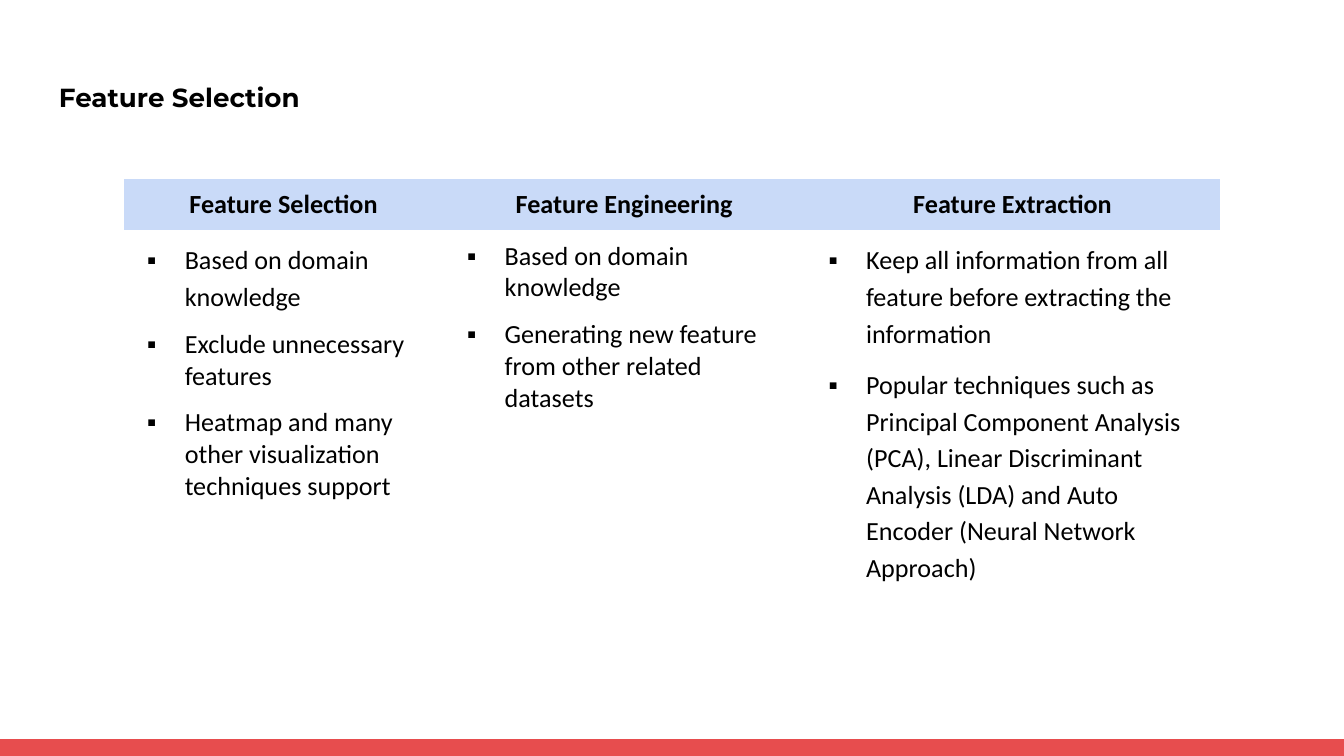
import pptx
import pptx.dml.color
import pptx.enum.shapes
import pptx.enum.text
import pptx.oxml
import pptx.oxml.ns
import pptx.util
import lxml.etree

Inches, Pt = pptx.util.Inches, pptx.util.Pt
WIDTH = 10
HEIGHT = WIDTH * 9 / 16
BAR_HEIGHT = 0.12
BLACK, RED, PALE_BLUE = "000000", "E74D4E", "C9DAF8"

TITLE = "Feature Selection"
# Heading, column width, then (bullet, line spacing) pairs
METHODS = [
    ("Feature Selection", 2.38, [
        ("Based on domain knowledge", 1.15),
        ("Exclude unnecessary features", 1),
        ("Heatmap and many other visualization techniques support", 1),
    ]),
    ("Feature Engineering", 2.69, [
        ("Based on domain knowledge", 1),
        ("Generating new feature from other related datasets", 1),
    ]),
    ("Feature Extraction", 3.09, [
        ("Keep all information from all feature before extracting the information", 1.15),
        ("Popular techniques such as Principal Component Analysis (PCA), "
         "Linear Discriminant Analysis (LDA) and Auto Encoder "
         "(Neural Network Approach)", 1.15),
    ]),
]
ROW_HEIGHTS = [0.19, 2.77]
TABLE_LEFT, TABLE_TOP = 0.92, 1.33
INDENT, HANGING = 0.38, 0.28


def rgb(value):
    return pptx.dml.color.RGBColor.from_string(value)


def add_element(parent, tag, **attributes):
    element = lxml.etree.SubElement(parent, pptx.oxml.ns.qn(tag))
    for key, value in attributes.items():
        element.set(key, str(value))
    return element


def set_margins(owner, points):
    owner.margin_left = owner.margin_right = Pt(points)
    owner.margin_top = owner.margin_bottom = Pt(points)


def set_font(paragraph, face, bold):
    font = paragraph.font
    font.name, font.size, font.bold = face, Pt(14), bold
    font.color.rgb = rgb(BLACK)


def add_bullet(paragraph):
    properties = paragraph._p.get_or_add_pPr()
    properties.set("marL", str(Inches(INDENT)))
    properties.set("indent", str(-Inches(HANGING)))
    color = add_element(properties, "a:buClr")
    add_element(color, "a:srgbClr", val=BLACK)
    add_element(properties, "a:buFont", typeface="Calibri")
    add_element(properties, "a:buChar", char="▪")


def prepare_cell(cell):
    """Clear the borders and set the inner margins."""
    properties = cell._tc.get_or_add_tcPr()
    for side in ("a:lnL", "a:lnR", "a:lnT", "a:lnB"):
        add_element(add_element(properties, side), "a:noFill")
    set_margins(cell, 5.4)


def add_title(slide):
    box = slide.shapes.add_textbox(Inches(0.34), Inches(0.39), Inches(9.07), Inches(0.49))
    frame = box.text_frame
    frame.word_wrap = True
    set_margins(frame, 7.2)
    paragraph = frame.paragraphs[0]
    paragraph.text = TITLE
    paragraph.line_spacing = 1.5
    paragraph.space_after = Pt(16)
    set_font(paragraph, "Montserrat", True)


def add_footer_bar(slide):
    bar = slide.shapes.add_shape(
        pptx.enum.shapes.MSO_SHAPE.RECTANGLE,
        Inches(-0.01), Inches(HEIGHT - BAR_HEIGHT),
        Inches(WIDTH + 0.01), Inches(BAR_HEIGHT))
    bar.shadow.inherit = False
    bar.fill.solid()
    bar.fill.fore_color.rgb = bar.line.color.rgb = rgb(RED)
    bar.line.width = Pt(1)


def add_methods_table(slide):
    table_width = sum(width for _, width, _ in METHODS)
    table = slide.shapes.add_table(
        len(ROW_HEIGHTS), len(METHODS), Inches(TABLE_LEFT), Inches(TABLE_TOP),
        Inches(table_width), Inches(sum(ROW_HEIGHTS))).table
    table.first_row = table.horz_banding = False
    for row, height in zip(table.rows, ROW_HEIGHTS):
        row.height = Inches(height)

    for column, (heading, width, bullets) in enumerate(METHODS):
        table.columns[column].width = Inches(width)
        header, body = table.cell(0, column), table.cell(1, column)
        prepare_cell(header)
        prepare_cell(body)
        header.fill.solid()
        header.fill.fore_color.rgb = rgb(PALE_BLUE)
        body.fill.background()

        header.text = heading
        heading_line = header.text_frame.paragraphs[0]
        heading_line.alignment = pptx.enum.text.PP_ALIGN.CENTER
        set_font(heading_line, "Calibri", True)

        body.text = "\n".join(text for text, _ in bullets)
        for index, paragraph in enumerate(body.text_frame.paragraphs):
            add_bullet(paragraph)
            paragraph.line_spacing = float(bullets[index][1])
            if index:
                paragraph.space_before = Pt(8)
            set_font(paragraph, "Calibri", False)


def main():
    presentation = pptx.Presentation()
    presentation.slide_width = Inches(WIDTH)
    presentation.slide_height = Inches(HEIGHT)
    slide = presentation.slides.add_slide(presentation.slide_layouts[6])
    add_title(slide)
    add_footer_bar(slide)
    add_methods_table(slide)
    presentation.save("out.pptx")


if __name__ == "__main__":
    main()
